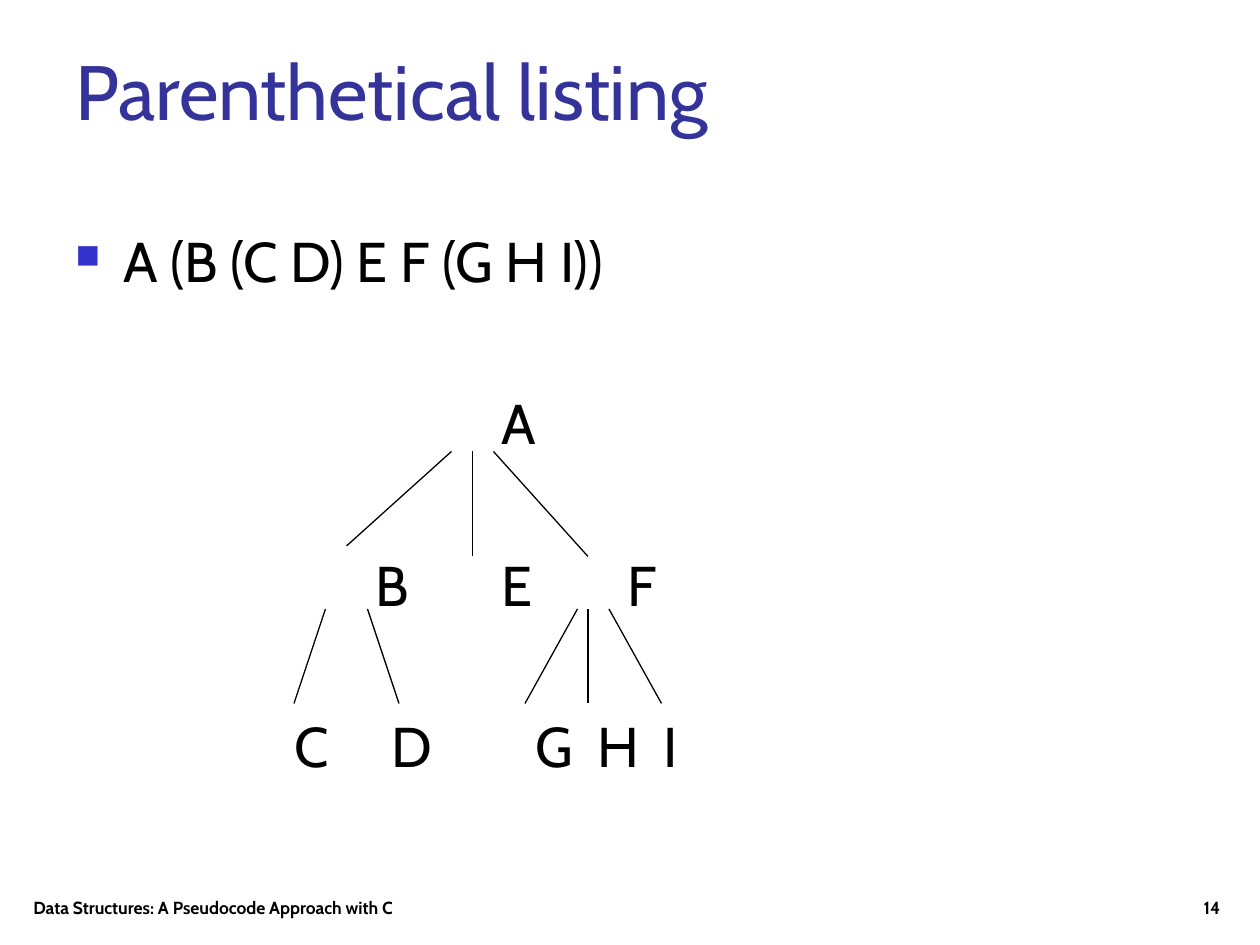
from dataclasses import dataclass

from lxml import etree
from pptx import Presentation
from pptx import util as u
from pptx.dml.color import RGBColor
from pptx.enum import shapes, text
from pptx.oxml import ns

CELL = u.Inches(1) / 12  # the slide is a grid of 120 columns by 90 rows


@dataclass(frozen=True)
class Theme:
    font: str = "Cabin"
    ink: str = "000000"
    title: str = "333399"
    bullet: str = "3333CC"
    title_size: int = 44
    body_size: int = 32
    footer_size: int = 10
    line_width: float = 0.75
    level_gap: int = 54


class Deck:
    def __init__(self, theme):
        self.theme = theme
        self.prs = Presentation()
        self.prs.slide_width, self.prs.slide_height = u.Inches(10), u.Inches(7.5)
        self.s = self.prs.slides.add_slide(self.prs.slide_layouts[6])

    def grid(self, *cells):
        return [u.Emu(round(c * CELL)) for c in cells]

    def style(self, p, size, color, bold=False):
        for r in p.runs:
            r.font.name = self.theme.font
            r.font.size = u.Pt(size)
            r.font.bold = bold
            r.font.color.rgb = RGBColor.from_string(color)

    def box(self, area, words, size, color, bold=False,
            anchor=text.MSO_ANCHOR.TOP, align=text.PP_ALIGN.LEFT):
        tf = self.s.shapes.add_textbox(*self.grid(*area)).text_frame
        tf.word_wrap = True
        tf.vertical_anchor = anchor
        tf.text = words
        p = tf.paragraphs[0]
        p.alignment = align
        self.style(p, size, color, bold)
        return tf

    def bullet(self, p):
        pPr = p._p.get_or_add_pPr()
        pPr.set("marL", str(u.Inches(0.38)))
        pPr.set("indent", str(u.Inches(-0.38)))
        color = etree.SubElement(pPr, ns.qn("a:buClr"))
        etree.SubElement(color, ns.qn("a:srgbClr"), val=self.theme.bullet)
        etree.SubElement(pPr, ns.qn("a:buSzPct"), val="60000")
        etree.SubElement(pPr, ns.qn("a:buChar"), char="■")

    def tree_level(self, tf, nodes):
        """Add one paragraph with each node at its own tab stop, in inches."""
        p = tf.add_paragraph()
        tabs = etree.SubElement(p._p.get_or_add_pPr(), ns.qn("a:tabLst"))
        for stop in nodes.values():
            etree.SubElement(tabs, ns.qn("a:tab"), pos=str(u.Inches(stop)), algn="l")
        p.text = "".join("\t" + name for name in nodes)
        p.space_before = u.Pt(self.theme.level_gap)
        self.style(p, self.theme.body_size, self.theme.ink)

    def branch(self, x1, y1, x2, y2):
        line = self.s.shapes.add_connector(
            shapes.MSO_CONNECTOR.STRAIGHT, *self.grid(x1, y1, x2, y2))
        line.line.width = u.Pt(self.theme.line_width)
        line.line.color.rgb = RGBColor.from_string(self.theme.ink)
        etree.SubElement(line._element.spPr, ns.qn("a:effectLst"))


def main():
    theme = Theme()
    deck = Deck(theme)
    footer = dict(size=theme.footer_size, color=theme.ink, bold=True,
                  anchor=text.MSO_ANCHOR.BOTTOM)
    deck.box((2, 84, 68, 4), "Data Structures: A Pseudocode Approach with C", **footer)
    deck.box((92.4, 82, 25, 6), "14", align=text.PP_ALIGN.RIGHT, **footer)
    deck.box((6, 3.6, 108, 15), "Parenthetical listing", theme.title_size, theme.title)

    body = deck.box((6, 21, 108, 59.4), "A (B (C D) E F (G H I))",
                    theme.body_size, theme.ink)
    deck.bullet(body.paragraphs[0])
    levels = (
        {"A": 3.38},
        {"B": 2.38, "E": 3.38, "F": 4.38},
        {"C": 1.74, "D": 2.51, "G": 3.65, "H": 4.14, "I": 4.67},
    )
    for nodes in levels:
        deck.tree_level(body, nodes)

    root_branches = ((43, 33, 53), (45, 45, 53), (47, 56, 53))
    for x1, x2, y2 in ((43, 33, 52), (45, 45, 53), (47, 56, 53)):
        deck.branch(x1, 43, x2, y2)
    for x1, x2 in ((31, 28), (35, 38), (55, 50), (56, 56), (58, 63)):
        deck.branch(x1, 58, x2, 67)

    deck.prs.save("out.pptx")


if __name__ == "__main__":
    main()
